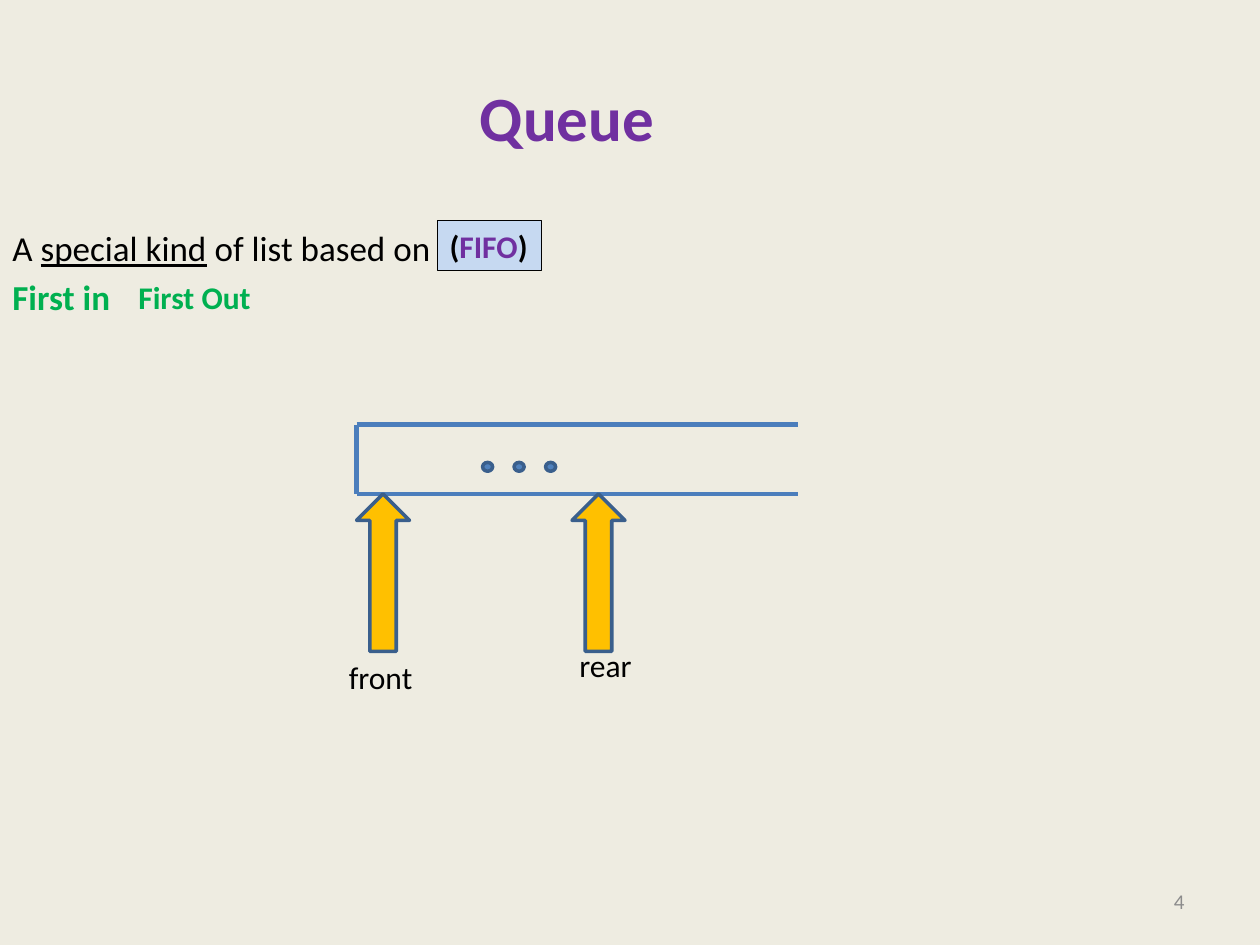
from pptx import Presentation
from pptx.dml.color import RGBColor
from pptx.enum.shapes import MSO_CONNECTOR, MSO_SHAPE as SHAPE
from pptx.enum.text import MSO_ANCHOR as ANCHOR, PP_ALIGN as ALIGN
from pptx.oxml.ns import qn
from pptx.util import Inches, Pt
from lxml import etree

CREAM = RGBColor(0xEE, 0xEC, 0xE1)
GRAY = RGBColor(0x8C, 0x8C, 0x8C)
PURPLE = RGBColor(0x70, 0x30, 0xA0)
GREEN = RGBColor(0x00, 0xB0, 0x50)
BLACK = RGBColor(0, 0, 0)
RAIL = RGBColor(0x4B, 0x7E, 0xBC)
BLUE = RGBColor(0x4F, 0x81, 0xBD)
EDGE = RGBColor(0x3A, 0x5F, 0x8C)
AMBER = RGBColor(0xFF, 0xC0, 0x00)
PALE = RGBColor(0xC6, 0xD9, 0xF1)

TITLE = "Queue"
INTRO = [("A ", False), ("special kind", True), (" of list based on", False)]
FIRST_IN = "First in"
FIRST_OUT = "First Out"
FIFO = [("(", BLACK), ("FIFO", PURPLE), (")", BLACK)]
PAGE = "4"

LEFT, RIGHT, TOP, BOTTOM = 2.83, 6.33, 3.37, 3.92
RAILS = [
    (LEFT, TOP, RIGHT, TOP, 3),
    (RIGHT, BOTTOM, LEFT, BOTTOM, 2.25),
    (LEFT, BOTTOM, LEFT, TOP, 3),
]
DOT_COUNT, DOT_LEFT, DOT_STEP = 3, 3.83, 0.25
POINTERS = [
    (2.83, "front", (2.67, 5.17, 0.71, 0.4)),
    (4.54, "rear", (4.5, 5.08, 0.62, 0.4)),
]


def style(p, size, color=BLACK, bold=False, align=ALIGN.LEFT):
    p.alignment = align
    p.font.name, p.font.size, p.font.bold = "Calibri", Pt(size), bold
    p.font.color.rgb = color


def add_text(s, box, text, size, color=BLACK, bold=False, align=ALIGN.LEFT,
             anchor=ANCHOR.TOP, wrap=False):
    tf = s.shapes.add_textbox(*map(Inches, box)).text_frame
    tf.word_wrap, tf.vertical_anchor = wrap, anchor
    p = tf.paragraphs[0]
    p.text = text
    style(p, size, color, bold, align)
    return tf


def add_shape(s, kind, box, fill, line, width):
    sp = s.shapes.add_shape(kind, *map(Inches, box))
    sp.shadow.inherit = False
    sp.fill.solid()
    sp.fill.fore_color.rgb = fill
    sp.line.color.rgb, sp.line.width = line, Pt(width)
    return sp


def add_rail(s, x1, y1, x2, y2, width):
    line = s.shapes.add_connector(MSO_CONNECTOR.STRAIGHT, *map(Inches, (x1, y1, x2, y2)))
    line.line.color.rgb, line.line.width = RAIL, Pt(width)
    etree.SubElement(line._element.spPr, qn("a:effectLst"))


def add_intro(s):
    tf = add_text(s, (0, 1.75, 9, 4.95), "", 20, wrap=True)
    for text, underline in INTRO:
        r = tf.paragraphs[0].add_run()
        r.text, r.font.underline = text, underline
    p = tf.add_paragraph()
    p.text, p.space_before = FIRST_IN, Pt(4)
    style(p, 20, GREEN, True)


def add_fifo(s):
    tf = add_shape(s, SHAPE.RECTANGLE, (3.47, 1.75, 0.83, 0.4), PALE, BLACK, 0.75).text_frame
    tf.word_wrap, tf.vertical_anchor = False, ANCHOR.TOP
    p = tf.paragraphs[0]
    style(p, 18, bold=True)
    for text, color in FIFO:
        r = p.add_run()
        r.text, r.font.color.rgb = text, color


def main():
    prs = Presentation()
    prs.slide_width, prs.slide_height = Inches(10), Inches(7.5)
    s = prs.slides.add_slide(prs.slide_layouts[6])
    s.background.fill.solid()
    s.background.fill.fore_color.rgb = CREAM

    add_text(s, (7.17, 6.95, 2.33, 0.4), PAGE, 12, GRAY,
             align=ALIGN.RIGHT, anchor=ANCHOR.MIDDLE, wrap=True)
    add_text(s, (0, 0.3, 9, 1.25), TITLE, 36, PURPLE, True,
             ALIGN.CENTER, ANCHOR.MIDDLE, True)
    add_intro(s)

    for rail in RAILS:
        add_rail(s, *rail)
    for i in range(DOT_COUNT):
        add_shape(s, SHAPE.OVAL, (DOT_LEFT + i * DOT_STEP, 3.67, 0.08, 0.07), BLUE, EDGE, 2)
    for x, label, box in POINTERS:
        add_shape(s, SHAPE.UP_ARROW, (x, BOTTOM, 0.42, 1.25), AMBER, EDGE, 2)
        add_text(s, box, label, 18)

    add_text(s, (1, 2.16, 1.1, 0.4), FIRST_OUT, 18, GREEN, True)
    add_fifo(s)
    prs.save("out.pptx")


if __name__ == "__main__":
    main()
